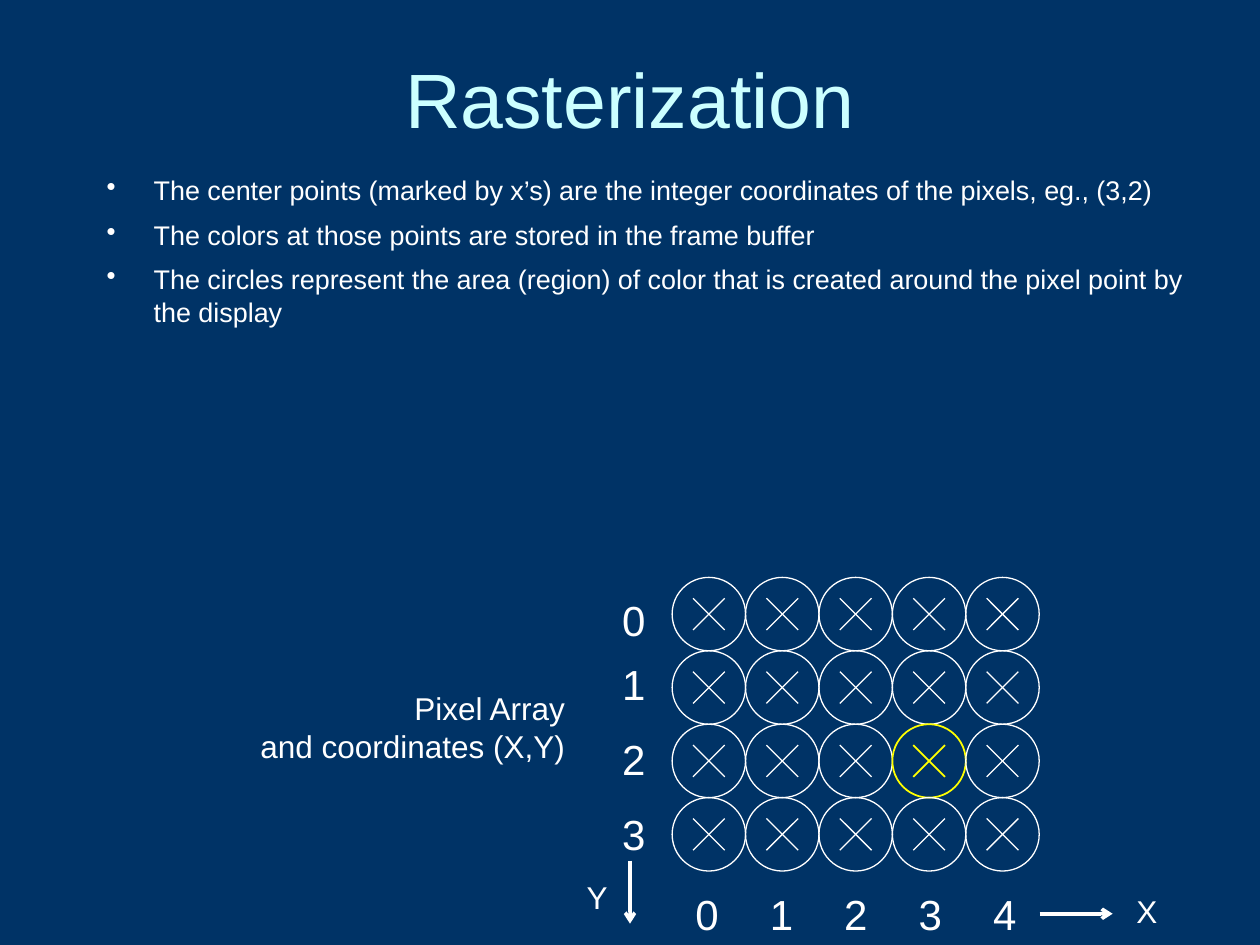
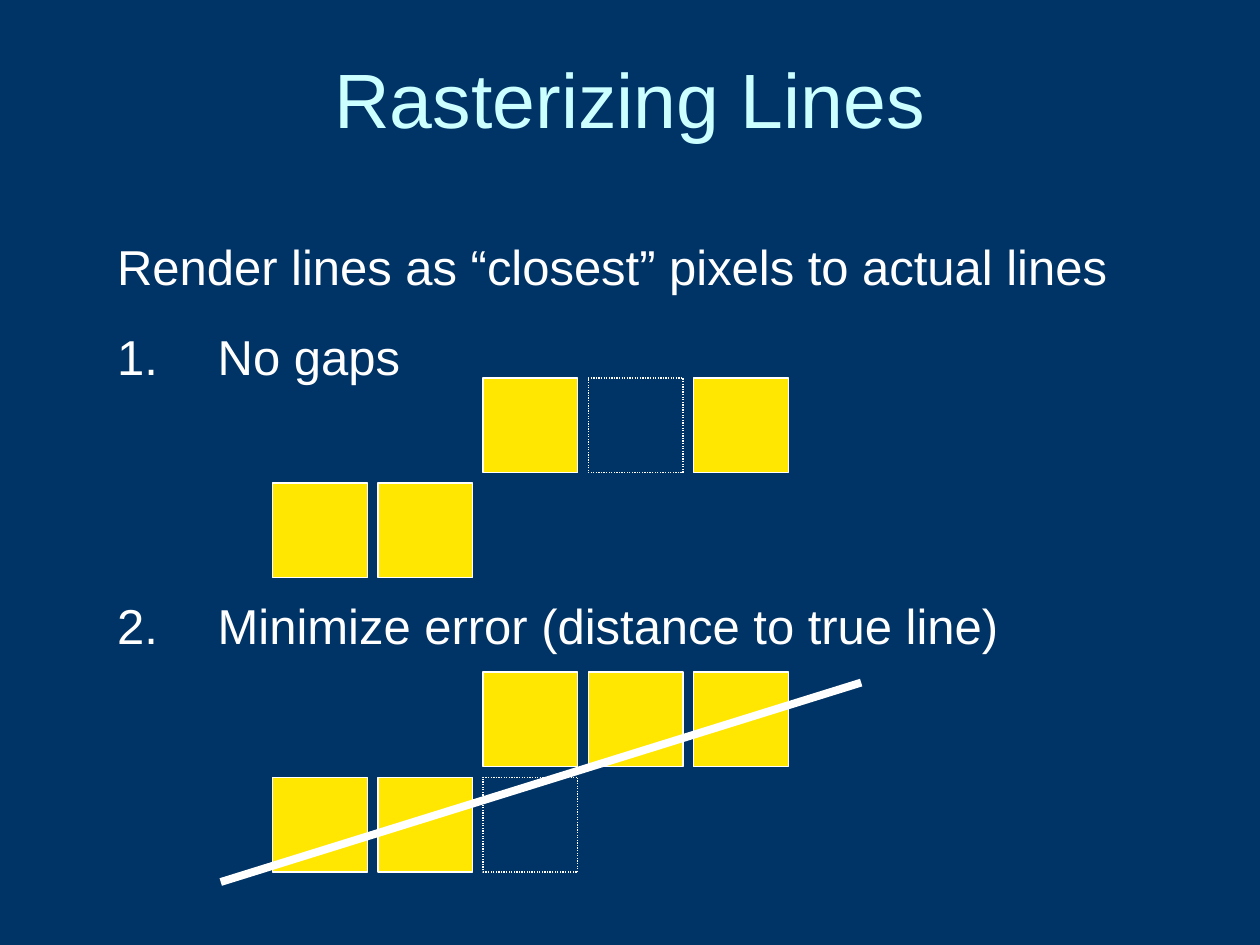
from dataclasses import dataclass

from lxml.etree import SubElement
from pptx import Presentation
from pptx.dml.color import RGBColor
from pptx.enum.dml import MSO_LINE
from pptx.enum.shapes import MSO_CONNECTOR, MSO_SHAPE
from pptx.enum.text import MSO_ANCHOR, PP_ALIGN
from pptx.oxml.ns import qn
from pptx.util import Cm, Pt

# Content
AREA = {
    "title": "Rasterization",
    "points": [
        "The center points (marked by x’s) are the integer coordinates of the pixels, eg., (3,2)",
        "The colors at those points are stored in the frame buffer",
        "The circles represent the area (region) of color that is created around the pixel point by the display",
    ],
    "label": ["Pixel Array", "and coordinates (X,Y)"],
    "cols": 5,
    "tops": [11.86, 13.16, 14.66, 16.18],  # top of each row number
    "mark": (3, 2),
}
LINES = {
    "title": "Rasterizing Lines",
    "intro": "Render lines as “closest” pixels to actual lines",
    "rules": ["No gaps", "Minimize error (distance to true line)"],
    # "#" is a lit pixel, "." an unlit one
    "grids": [(7.62, ["  #.#", "##"]), (13.55, ["  ###", "##."])],
}


# Theme
@dataclass(frozen=True)
class Theme:
    font: str = "Arial"
    back: str = "003366"
    head: str = "CCFFFF"
    ink: str = "FFFFFF"
    mark: str = "FFFF00"
    pixel: str = "FFE701"
    big: float = 44
    text: float = 28
    digit: float = 24
    label: float = 18
    small: float = 15.4
    thin: float = 0.75


T = Theme()


def rgb(code):
    return RGBColor.from_string(code)


# Helpers
def write(slide, text, x, y, w, h, size=T.label, color=T.ink, align=PP_ALIGN.LEFT,
          anchor=MSO_ANCHOR.TOP, wrap=True, gaps=(), bullets=(), indent=0):
    """Place text; gaps and bullets hold one entry for each paragraph."""
    frame = slide.shapes.add_textbox(Cm(x), Cm(y), Cm(w), Cm(h)).text_frame
    frame.word_wrap = wrap
    frame.vertical_anchor = anchor
    rows = [text] if isinstance(text, str) else text
    for i, row in enumerate(rows):
        para = frame.paragraphs[0] if i == 0 else frame.add_paragraph()
        para.alignment = align
        if gaps and gaps[i]:
            para.space_before = Pt(gaps[i])
        if bullets and bullets[i]:
            tag, key, value = bullets[i]
            props = para._p.get_or_add_pPr()
            props.set("marL", str(Cm(indent)))
            props.set("indent", str(-Cm(indent)))
            SubElement(props, qn(tag)).set(key, value)
        run = para.add_run()
        run.text = row
        run.font.name = T.font
        run.font.size = Pt(size)
        run.font.color.rgb = rgb(color)


def draw(slide, kind, x, y, side, fill=None, color=T.ink, width=T.thin, dash=None):
    shape = slide.shapes.add_shape(kind, Cm(x), Cm(y), Cm(side), Cm(side))
    shape.shadow.inherit = False
    if fill:
        shape.fill.solid()
        shape.fill.fore_color.rgb = rgb(fill)
    else:
        shape.fill.background()
    shape.line.color.rgb = rgb(color)
    shape.line.width = Pt(width)
    if dash:
        shape.line.dash_style = dash


def rule(slide, x1, y1, x2, y2, color=T.ink, width=T.thin, arrow=False):
    link = slide.shapes.add_connector(MSO_CONNECTOR.STRAIGHT, Cm(x1), Cm(y1), Cm(x2), Cm(y2))
    link.line.color.rgb = rgb(color)
    link.line.width = Pt(width)
    if arrow:
        SubElement(link.line._get_or_add_ln(), qn("a:tailEnd")).set("type", "arrow")
    SubElement(link._element.spPr, qn("a:effectLst"))


def start(deck, title):
    slide = deck.slides.add_slide(deck.slide_layouts[6])
    write(slide, title, 1.27, 0.76, 22.86, 2.41, size=T.big, color=T.head,
          align=PP_ALIGN.CENTER, anchor=MSO_ANCHOR.MIDDLE)
    return slide


# Slide 1: pixel array
def area(deck):
    slide = start(deck, AREA["title"])
    dot = ("a:buChar", "char", "•")
    write(slide, AREA["points"], 1.9, 3.38, 22.23, 4.01, size=T.small,
          gaps=(0, 7, 7), bullets=[dot] * 3, indent=0.95)

    # Circles with crosses
    left, top, side, pad = 13.55, 11.64, 1.48, 0.42
    for row in range(len(AREA["tops"])):
        for col in range(AREA["cols"]):
            hit = (col, row) == AREA["mark"]
            look = {"color": T.mark, "width": 1} if hit else {}
            x, y = left + col * side, top + row * side
            draw(slide, MSO_SHAPE.OVAL, x, y, side, **look)
            x1, y1, x2, y2 = x + pad, y + pad, x + side - pad, y + side - pad
            rule(slide, x1, y2, x2, y1, **look)
            rule(slide, x1, y1, x2, y2, **look)

    # Row and column numbers
    spots = [(str(i), 12.29, y) for i, y in enumerate(AREA["tops"])]
    spots += [(str(i), 13.77 + 1.5 * i, 17.78) for i in range(AREA["cols"])]
    for digit, x, y in spots:
        write(slide, digit, x, y, 0.97, 1.27, size=T.digit, wrap=False)

    # Label and axes
    write(slide, AREA["label"], 4.65, 13.77, 6.99, 1.78, align=PP_ALIGN.RIGHT)
    rule(slide, 20.96, 18.42, 22.43, 18.42, width=2, arrow=True)
    write(slide, "X", 22.66, 17.86, 1.47, 1.02)
    rule(slide, 12.7, 17.35, 12.7, 18.62, width=2, arrow=True)
    write(slide, "Y", 11.23, 17.58, 1.27, 1.02, align=PP_ALIGN.RIGHT)


# Slide 2: two rules for lines
def lines(deck):
    slide = start(deck, LINES["title"])
    count = ("a:buAutoNum", "type", "arabicPeriod")
    write(slide, [LINES["intro"], *LINES["rules"]], 2.11, 4.65, 21.16, 8.66, size=T.text,
          gaps=(0, 17.5, 120), bullets=(None, count, count), indent=2.03)

    # Pixel squares
    left, side, step = 5.5, 1.91, 2.12
    looks = {"#": {"fill": T.pixel}, ".": {"dash": MSO_LINE.ROUND_DOT}}
    for top, grid in LINES["grids"]:
        for row, cells in enumerate(grid):
            for col, cell in enumerate(cells):
                if cell in looks:
                    draw(slide, MSO_SHAPE.RECTANGLE, left + col * step, top + row * step,
                         side, **looks[cell])

    # True line
    rule(slide, 4.45, 17.78, 17.36, 13.76, width=4.5)


def main():
    deck = Presentation()
    deck.slide_width, deck.slide_height = Cm(25.4), Cm(19.05)
    fill = deck.slide_master.background.fill
    fill.solid()
    fill.fore_color.rgb = rgb(T.back)
    area(deck)
    lines(deck)
    deck.save("out.pptx")


if __name__ == "__main__":
    main()
